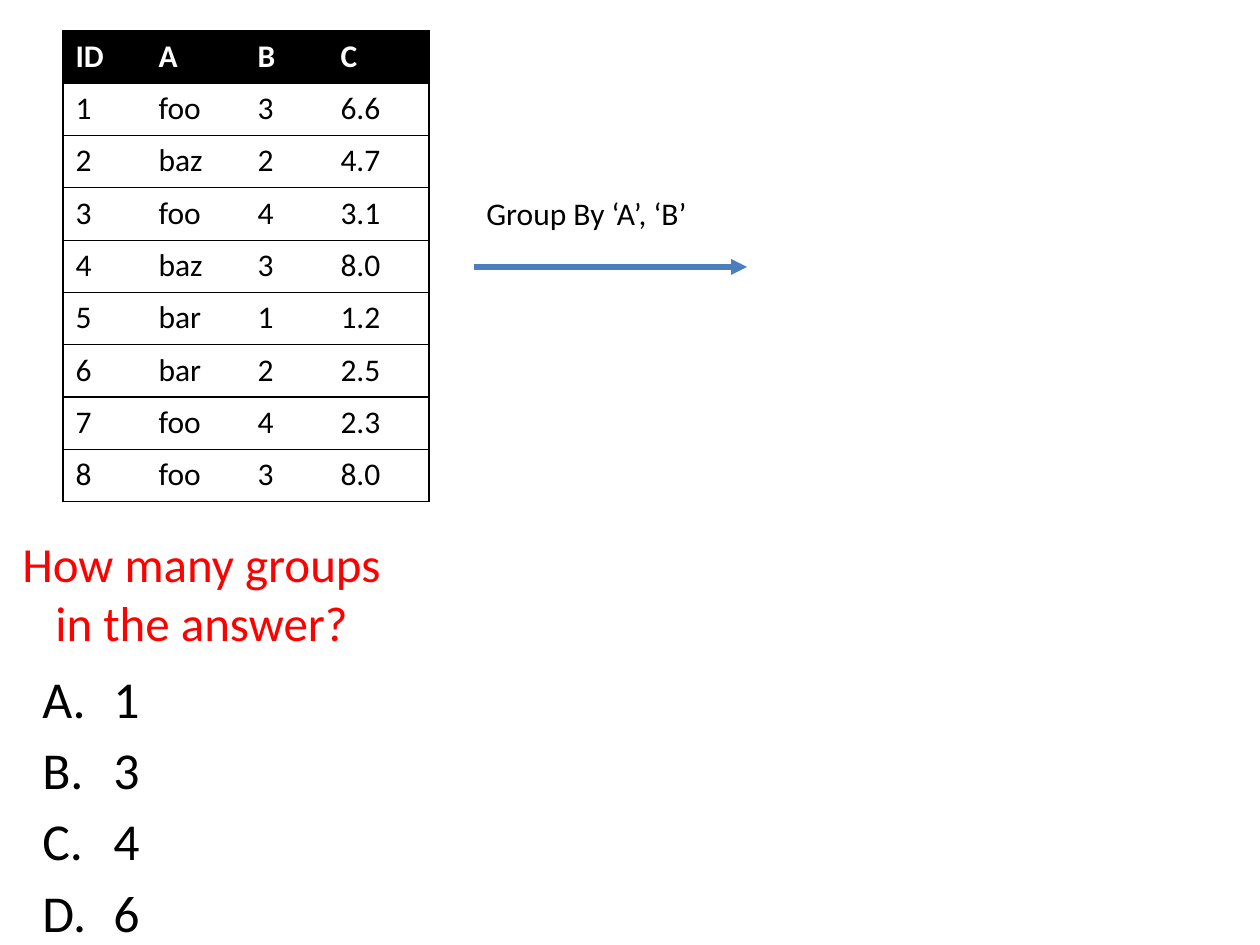
from pptx import Presentation
from pptx.dml.color import RGBColor
from pptx.enum.shapes import MSO_CONNECTOR
from pptx.enum.text import MSO_ANCHOR, PP_ALIGN
from pptx.oxml.ns import qn
from pptx.util import Emu, Pt
from lxml.etree import SubElement, Element

BLACK = RGBColor(0x00, 0x00, 0x00)
WHITE = RGBColor(0xFF, 0xFF, 0xFF)
RED = RGBColor(0xFF, 0x00, 0x00)
BLUE = RGBColor(0x4B, 0x7E, 0xBC)
FONT = "Calibri"

QUESTION = "How many groups in the answer?"
ANSWERS = ["1", "3", "4", "6"]
OPERATION = "Group By ‘A’, ‘B’"
ROWS = [
    ("ID", "A", "B", "C"),
    ("1", "foo", "3", "6.6"),
    ("2", "baz", "2", "4.7"),
    ("3", "foo", "4", "3.1"),
    ("4", "baz", "3", "8.0"),
    ("5", "bar", "1", "1.2"),
    ("6", "bar", "2", "2.5"),
    ("7", "foo", "4", "2.3"),
    ("8", "foo", "3", "8.0"),
]
COLUMN_WIDTHS = [83, 99, 83, 101]
TABLE_HEIGHT = 471


def px(length):
    return Emu(round(length * 914400 / 126))


def add_span(para, text, size, color, bold=False):
    span = para.add_run()
    span.text = text
    span.font.name = FONT
    span.font.size = Pt(size)
    span.font.bold = bold
    span.font.color.rgb = color


def add_box(page, left, top, width, height):
    box = page.shapes.add_textbox(px(left), px(top), px(width), px(height))
    box.text_frame.word_wrap = True
    return box.text_frame


def set_borders(cell, visible):
    properties = cell._tc.get_or_add_tcPr()
    for position, side in enumerate("LRTB"):
        line = Element(qn(f"a:ln{side}"), w=str(Pt(0.75)))
        if side in visible:
            fill = SubElement(line, qn("a:solidFill"))
            SubElement(fill, qn("a:srgbClr"), val=str(BLACK))
        else:
            SubElement(line, qn("a:noFill"))
        properties.insert(position, line)


def add_data_table(page):
    frame = page.shapes.add_table(
        len(ROWS), len(COLUMN_WIDTHS), px(63), px(31),
        px(sum(COLUMN_WIDTHS)), px(TABLE_HEIGHT))
    table = frame.table
    table.horz_banding = False
    for column, width in zip(table.columns, COLUMN_WIDTHS):
        column.width = px(width)
    last = len(COLUMN_WIDTHS) - 1
    for r, values in enumerate(ROWS):
        table.rows[r].height = px(TABLE_HEIGHT / len(ROWS))
        header = r == 0
        for c, value in enumerate(values):
            cell = table.cell(r, c)
            cell.fill.solid()
            cell.fill.fore_color.rgb = BLACK if header else WHITE
            add_span(cell.text_frame.paragraphs[0], value, 18,
                     WHITE if header else BLACK, header)
            set_borders(cell, "TB" + "L" * (c == 0) + "R" * (c == last))


def add_question(page):
    frame = add_box(page, 0, 541, 403, 103)
    frame.vertical_anchor = MSO_ANCHOR.MIDDLE
    para = frame.paragraphs[0]
    para.alignment = PP_ALIGN.CENTER
    add_span(para, QUESTION, 28, RED)


def add_answers(page):
    frame = add_box(page, 30, 660, 567, 285)
    for i, answer in enumerate(ANSWERS):
        para = frame.add_paragraph() if i else frame.paragraphs[0]
        properties = para._p.get_or_add_pPr()
        properties.set("marL", str(px(71)))
        properties.set("indent", str(-px(71)))
        SubElement(properties, qn("a:buFont"), typeface="+mj-lt")
        SubElement(properties, qn("a:buAutoNum"), type="alphaUcPeriod")
        if i:
            para.space_before = Pt(5.3)
        add_span(para, answer, 29.6, BLACK)


def add_operation(page):
    frame = add_box(page, 474, 188, 247, 50)
    add_span(frame.paragraphs[0], OPERATION, 18, BLACK)
    arrow = page.shapes.add_connector(
        MSO_CONNECTOR.STRAIGHT, px(474), px(267), px(747), px(267))
    arrow.line.color.rgb = BLUE
    arrow.line.width = Pt(3)
    SubElement(arrow.line._get_or_add_ln(), qn("a:tailEnd"), type="triangle")
    SubElement(arrow._element.spPr, qn("a:effectLst"))


def main():
    deck = Presentation()
    deck.slide_width, deck.slide_height = px(1260), px(945)
    page = deck.slides.add_slide(deck.slide_layouts[6])
    add_question(page)
    add_answers(page)
    add_data_table(page)
    add_operation(page)
    deck.save("out.pptx")


if __name__ == "__main__":
    main()
